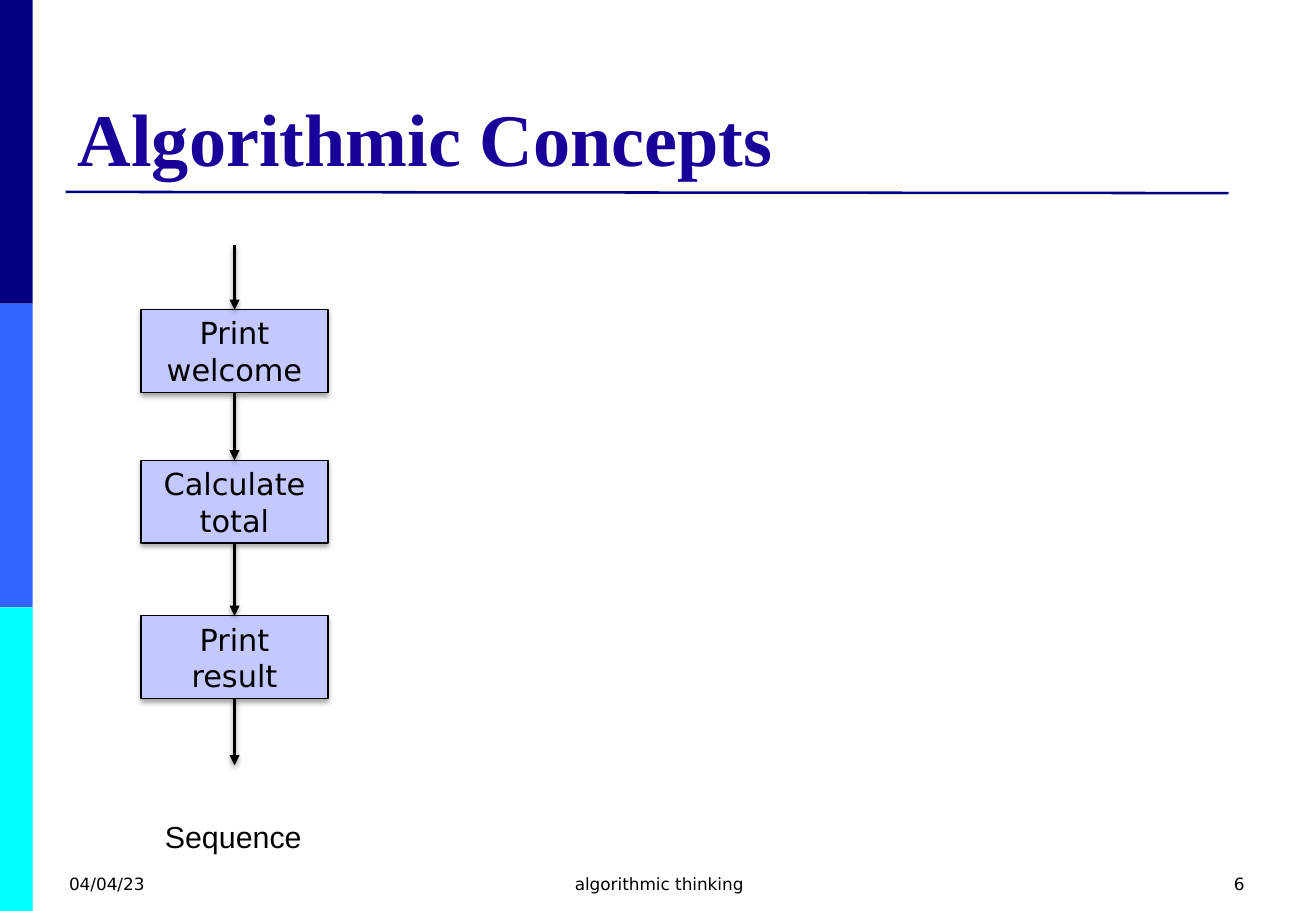
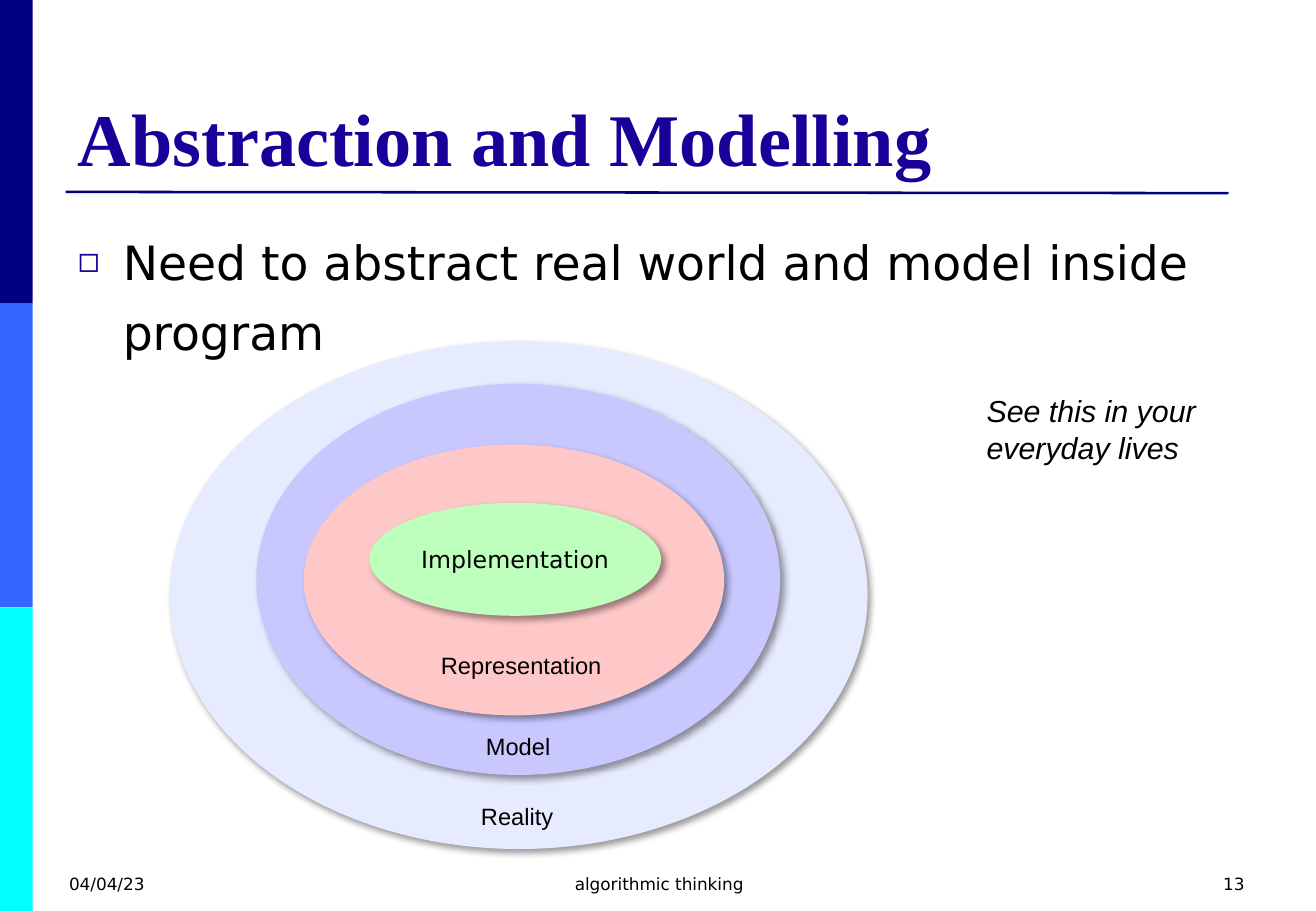
from lxml.etree import SubElement
from pptx import Presentation
from pptx.dml.color import RGBColor
from pptx.enum.shapes import MSO_CONNECTOR, MSO_SHAPE
from pptx.enum.text import MSO_ANCHOR, MSO_AUTO_SIZE, PP_ALIGN
from pptx.oxml.ns import qn
from pptx.util import Inches, Pt

LEFT, CENTER, RIGHT = PP_ALIGN.LEFT, PP_ALIGN.CENTER, PP_ALIGN.RIGHT


def rgb(value):
    return RGBColor.from_string(value)


class Deck:
    sans, serif, label_font = "DejaVu Sans", "Times New Roman", "Arial"
    black, navy, title_color = "000000", "000080", "170199"
    bands = ("000080", "3366FF", "00FFFF")
    box_shadow = (35, 3.1, 1.8, 90)
    arrow_shadow = (38, 3.1, 1.6, 90)
    ring_shadow = (40, 4, 3, 45)

    def __init__(self):
        self.prs = Presentation()
        self.prs.slide_width = Inches(10.83)
        self.prs.slide_height = Inches(7.5)

    def slide(self, title, number, layout):
        self.s = self.prs.slides.add_slide(self.prs.slide_layouts[layout])
        for i, color in enumerate(self.bands):
            self.shape(MSO_SHAPE.RECTANGLE, (0, 2.5 * i, 0.27, 2.5), color)
        self.line((0.54, 1.58), (10.11, 1.59), self.navy, 1.5)
        tf = self.place(self.s.shapes.title, (0.54, 0.3, 9.75, 1.24))
        tf.vertical_anchor = MSO_ANCHOR.BOTTOM
        self.fill_text(tf, title, 44, self.serif, LEFT, self.title_color, bold=True)
        for x, w, text, align in ((0.47, 2.53, "04/04/23", LEFT),
                                  (3.71, 3.43, "algorithmic thinking", CENTER),
                                  (7.81, 2.53, str(number), RIGHT)):
            self.text((x, 7.14, w, 0.36), text, 10, self.sans, align)

    def place(self, sp, at):
        sp.left, sp.top, sp.width, sp.height = map(Inches, at)
        tf = sp.text_frame
        tf.word_wrap = True
        tf.auto_size = MSO_AUTO_SIZE.NONE
        return tf

    def fill_text(self, tf, text, size, font, align=LEFT, color=black,
                  bold=False, italic=False):
        tf.text = text
        for p in tf.paragraphs:
            p.alignment = align
            for r in p.runs:
                r.font.size, r.font.name = Pt(size), font
                r.font.bold, r.font.italic = bold, italic
                r.font.color.rgb = rgb(color)

    def body(self, text):
        tf = self.place(self.s.placeholders[1], (0.54, 1.75, 9.75, 4.95))
        self.fill_text(tf, text, 28, self.sans)
        for p in tf.paragraphs:
            pPr = p._p.get_or_add_pPr()
            pPr.set("marL", str(Inches(0.37)))
            pPr.set("indent", str(-Inches(0.37)))
            SubElement(SubElement(pPr, qn("a:buClr")), qn("a:srgbClr"), val=self.title_color)
            SubElement(pPr, qn("a:buSzPct"), val="75000")
            SubElement(pPr, qn("a:buChar"), char="◻")
            p.line_spacing, p.space_before = 1.25, Pt(0)

    def text(self, at, text, size, font=label_font, align=LEFT, italic=False, wrap=True):
        tf = self.s.shapes.add_textbox(*map(Inches, at)).text_frame
        tf.word_wrap = wrap
        self.fill_text(tf, text, size, font, align, italic=italic)

    def effect(self, sp, shadow):
        spPr = sp.element.spPr
        effects = spPr.find(qn("a:effectLst"))
        if effects is None:
            effects = SubElement(spPr, qn("a:effectLst"))
        if shadow:
            alpha, blur, dist, angle = shadow
            outer = SubElement(effects, qn("a:outerShdw"), blurRad=str(Pt(blur)),
                               dist=str(Pt(dist)), dir=str(angle * 60000),
                               rotWithShape="0")
            color = SubElement(outer, qn("a:srgbClr"), val=self.black)
            SubElement(color, qn("a:alpha"), val=str(alpha * 1000))

    def shape(self, kind, at, fill, line=None, shadow=None, text="", size=18, inset=0.1):
        sp = self.s.shapes.add_shape(kind, *map(Inches, at))
        sp.shadow.inherit = False
        sp.fill.solid()
        sp.fill.fore_color.rgb = rgb(fill)
        if line:
            sp.line.color.rgb = rgb(line)
            sp.line.width = Pt(0.75)
        else:
            sp.line.fill.background()
        self.effect(sp, shadow)
        if text:
            tf = sp.text_frame
            tf.word_wrap = True
            tf.vertical_anchor = MSO_ANCHOR.MIDDLE
            tf.margin_left = tf.margin_right = Inches(inset)
            self.fill_text(tf, text, size, self.sans, CENTER)

    def line(self, start, end, color=black, width=2, arrow=False, shadow=None):
        c = self.s.shapes.add_connector(MSO_CONNECTOR.STRAIGHT, *map(Inches, start + end))
        c.line.color.rgb = rgb(color)
        c.line.width = Pt(width)
        if arrow:
            SubElement(c.element.spPr.find(qn("a:ln")), qn("a:tailEnd"), type="triangle")
        self.effect(c, shadow)


def sequence(deck):
    deck.slide("Algorithmic Concepts", 6, 5)
    deck.text((0.7, 6.69, 2.44, 0.4), "Sequence", 18, align=CENTER)
    left, width, height = 1.16, 1.54, 0.68
    steps = {"Print welcome": 2.55, "Calculate total": 3.79, "Print result": 5.07}
    for text, top in steps.items():
        deck.shape(MSO_SHAPE.RECTANGLE, (left, top, width, height), "C3C8FF",
                   deck.black, deck.box_shadow, text)
    tops = list(steps.values())
    x = left + width / 2
    for start, end in zip([2.02] + [top + height for top in tops], tops + [6.3]):
        deck.line((x, start), (x, end), arrow=True, shadow=deck.arrow_shadow)


def abstraction(deck):
    deck.slide("Abstraction and Modelling", 13, 1)
    deck.body("Need to abstract real world and model inside program")
    for at, fill, text in (((1.4, 2.81, 5.74, 4.18), "E6EBFF", ""),
                           ((2.11, 3.16, 4.31, 3.22), "C8C8FF", ""),
                           ((2.5, 3.66, 3.46, 2.23), "FFC8C8", ""),
                           ((3.04, 4.14, 2.4, 0.93), "BEFFBE", "Implementation")):
        deck.shape(MSO_SHAPE.OVAL, at, fill, shadow=deck.ring_shadow,
                   text=text, size=14, inset=0)
    for x, y, w, text in ((3.86, 6.55, 0.81, "Reality"),
                          (3.9, 5.98, 0.75, "Model"),
                          (3.53, 5.31, 1.55, "Representation")):
        deck.text((x, y, w, 0.34), text, 14)
    deck.text((8.02, 3.18, 2.01, 0.71), "See this in your\neveryday lives", 18,
              italic=True, wrap=False)


def main():
    deck = Deck()
    sequence(deck)
    abstraction(deck)
    deck.prs.save("out.pptx")


if __name__ == "__main__":
    main()
